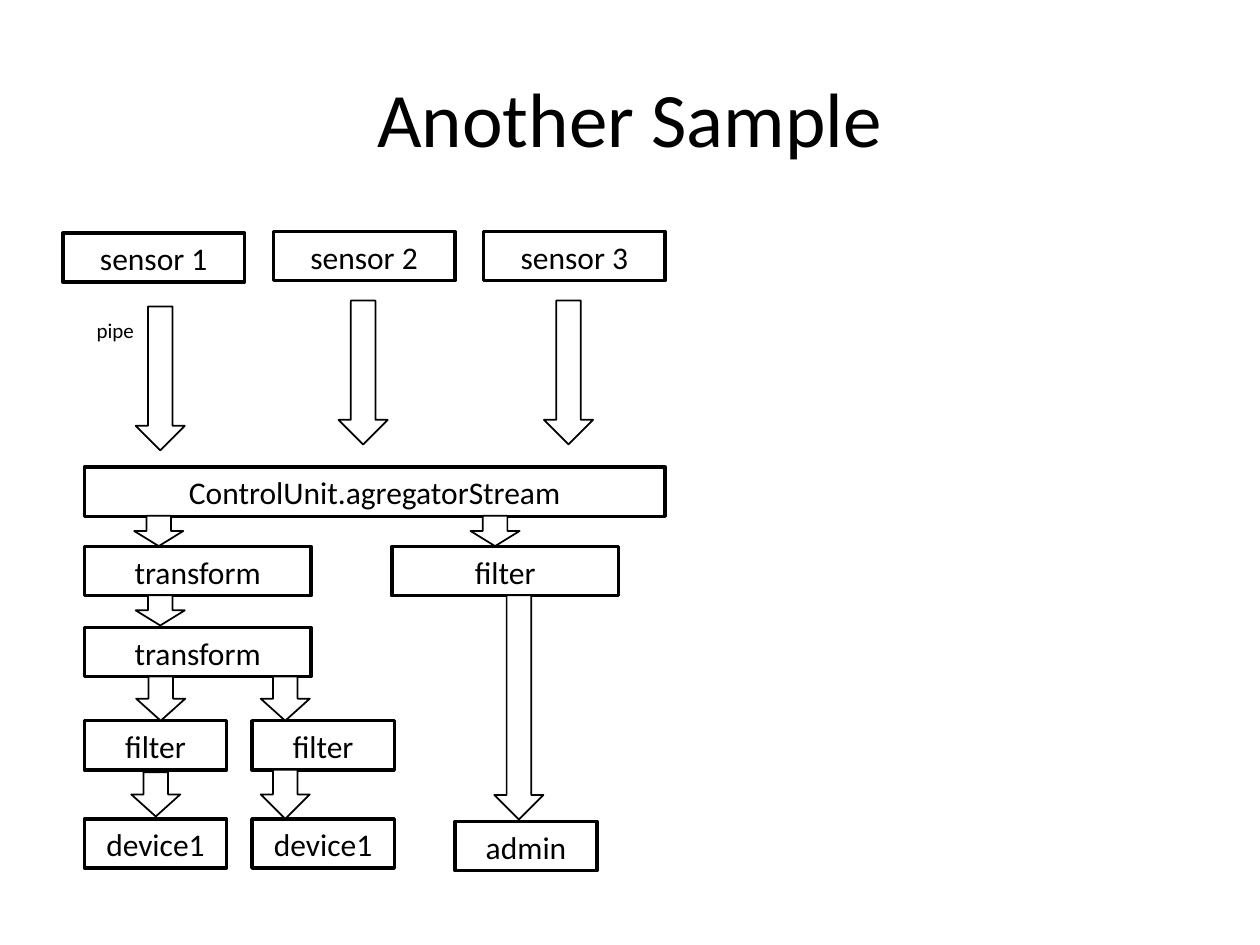
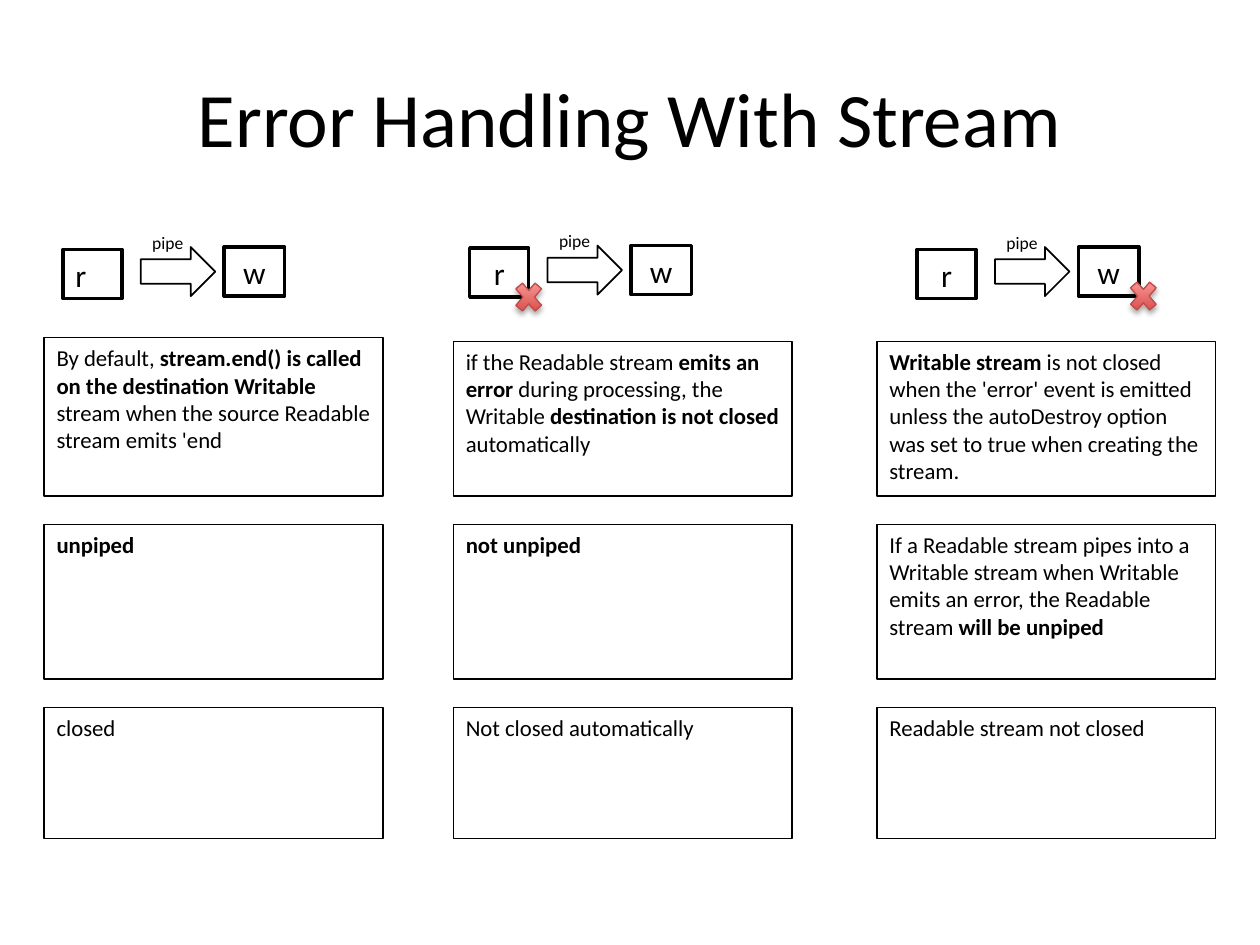
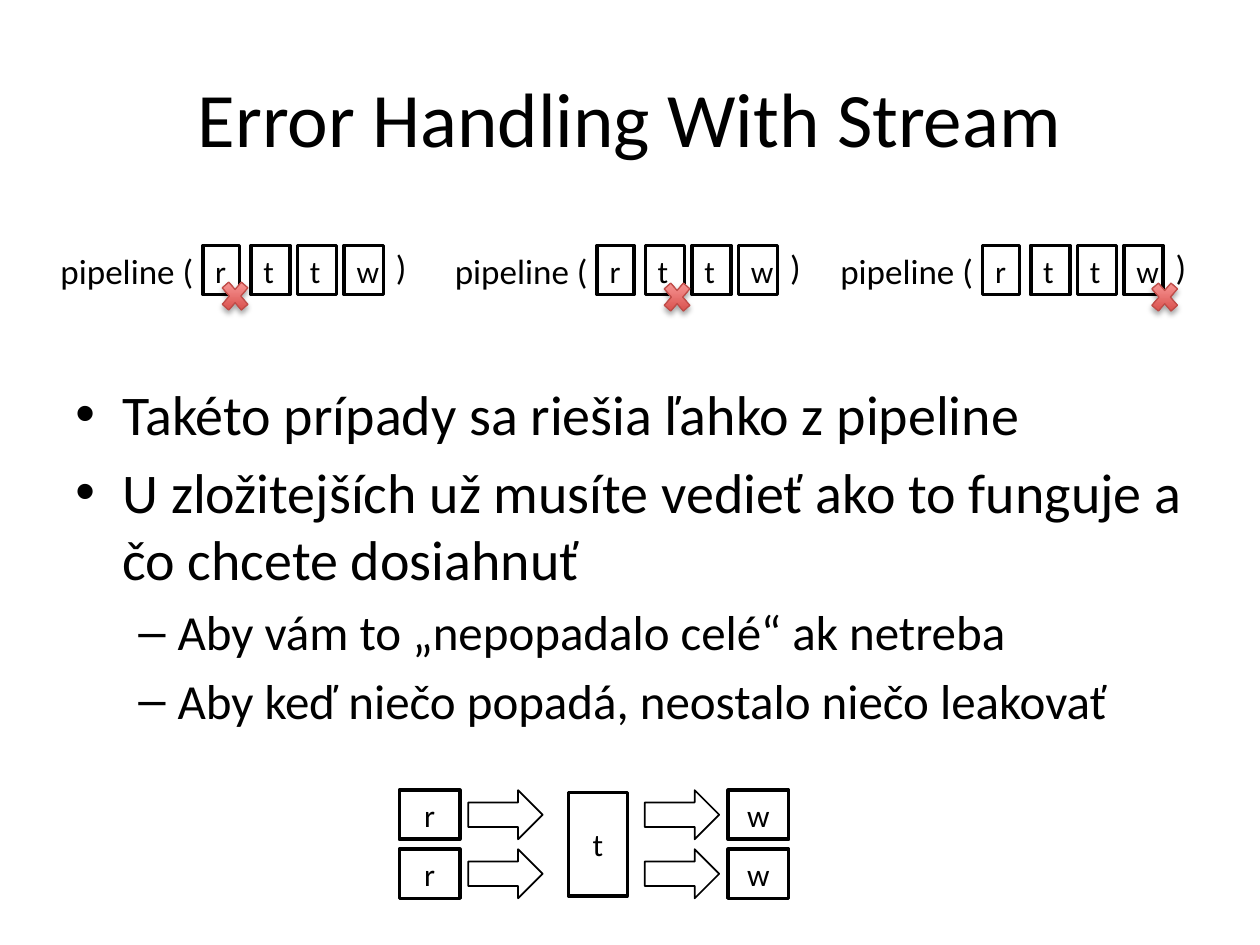
"""Build three slides on stream pipelines and their error handling."""
from dataclasses import dataclass
from typing import NamedTuple, Optional, Union

from lxml.etree import SubElement
from pptx import Presentation
from pptx.dml.color import RGBColor
from pptx.enum.shapes import MSO_SHAPE as Preset
from pptx.enum.text import MSO_ANCHOR as Anchor, MSO_AUTO_SIZE as AutoSize, PP_ALIGN as Align
from pptx.oxml.ns import qn
from pptx.shapes.autoshape import Shape
from pptx.shapes.shapetree import GroupShapes, SlideShapes
from pptx.slide import Slide
from pptx.text.text import _Paragraph as Paragraph
from pptx.util import Cm, Pt

Shapes = Union[SlideShapes, GroupShapes]


@dataclass(frozen=True)
class Theme:
    font: str = "Calibri"
    ink: RGBColor = RGBColor(0, 0, 0)
    paper: RGBColor = RGBColor(255, 255, 255)
    cross_dark: RGBColor = RGBColor(0xD1, 0x40, 0x3C)
    cross_light: RGBColor = RGBColor(0xFF, 0xA6, 0xA5)
    cross_line: RGBColor = RGBColor(0xBF, 0x4C, 0x48)
    title: float = 44
    bullet: float = 32
    sub_bullet: float = 28
    pipeline: float = 20
    box: float = 18
    note: float = 13
    label: float = 12
    small_label: float = 10
    thick: float = 2
    medium: float = 1
    thin: float = 0.75


THEME = Theme()
BOX_HEIGHT = 0.99
ARROW_LENGTH = 1.5


class Box(NamedTuple):
    text: str
    left: float
    top: float
    width: float
    height: float = BOX_HEIGHT


class DownArrow(NamedTuple):
    centre: float
    top: float
    length: float


class Span(NamedTuple):
    text: str
    bold: bool = False


class Bullet(NamedTuple):
    text: str
    level: int = 0


class BulletStyle(NamedTuple):
    mark: str
    margin: float
    hanging: float
    size: float


class Point(NamedTuple):
    left: float
    top: float


@dataclass(frozen=True)
class Case:
    left: float
    first_top: float
    pipe: Point
    cross: Optional[Point]
    notes: tuple[tuple[Span, ...], ...]
    reader_align: Align = Align.CENTER


@dataclass(frozen=True)
class Pipeline:
    left: float
    cross: Point


BULLET_STYLES = (BulletStyle("•", 0.95, 0.95, THEME.bullet),
                 BulletStyle("–", 2.06, 0.79, THEME.sub_bullet))

NARROW, WIDE = 2.87, 4.57
SAMPLE_BOXES = (
    Box("sensor 1", 1.27, 4.7, 3.66),
    Box("sensor 2", 5.51, 4.67, 3.66),
    Box("sensor 3", 9.75, 4.67, 3.66),
    Box("ControlUnit.agregatorStream", 1.7, 9.42, 11.71),
    Box("transform", 1.7, 11.02, WIDE),
    Box("filter", 7.9, 11.02, WIDE),
    Box("transform", 1.7, 12.65, WIDE),
    Box("filter", 1.7, 14.53, NARROW),
    Box("filter", 5.08, 14.53, NARROW),
    Box("device1", 1.7, 16.51, NARROW),
    Box("device1", 5.08, 16.51, NARROW),
    Box("admin", 9.17, 16.56, NARROW),
)
SAMPLE_ARROWS = (
    DownArrow(3.23, 6.18, 2.9),
    DownArrow(7.32, 6.06, 2.9),
    DownArrow(11.46, 6.06, 2.9),
    DownArrow(3.2, 10.4, 0.61),
    DownArrow(9.98, 10.4, 0.61),
    DownArrow(3.23, 12, 0.61),
    DownArrow(3.24, 13.64, 0.89),
    DownArrow(5.75, 13.64, 0.89),
    DownArrow(3.14, 15.57, 0.89),
    DownArrow(5.75, 15.52, 0.99),
    DownArrow(10.46, 12, 4.52),
)

NOTE_WIDTH = 6.83
FIRST_NOTE_BOTTOM = 10
LOWER_NOTE_ROWS = ((10.57, 3.12), (14.27, 2.64))
CASES = (
    Case(0.89, 6.81, Point(1.27, 5.03), None, (
        (Span("By default, "),
         Span("stream.end() is called on the destination Writable", True),
         Span(" stream when the source Readable stream emits 'end")),
        (Span("unpiped", True),),
        (Span("closed"),),
    ), Align.LEFT),
    Case(9.14, 6.88, Point(9.47, 5), Point(10.29, 5.56), (
        (Span("if the Readable stream "), Span("emits an error", True),
         Span(" during processing, the Writable "),
         Span("destination is not closed ", True), Span("automatically")),
        (Span("not unpiped", True),),
        (Span("Not closed automatically"),),
    )),
    Case(17.68, 6.88, Point(18.49, 5.03), Point(22.68, 5.54), (
        (Span("Writable stream ", True),
         Span("is not closed when the 'error' event is emitted unless the "
              "autoDestroy option was set to true when creating the stream.")),
        (Span("If a Readable stream pipes into a Writable stream when Writable "
              "emits an error, the Readable stream "),
         Span("will be unpiped", True)),
        (Span("Readable stream not closed"),),
    )),
)

PIPELINES = (Pipeline(0.97, Point(4.37, 5.54)),
             Pipeline(8.92, Point(13.28, 5.56)),
             Pipeline(16.69, Point(23.11, 5.56)))
BULLETS = (
    Bullet("Takéto prípady sa riešia ľahko z pipeline"),
    Bullet("U zložitejších už musíte vedieť ako to funguje a čo chcete dosiahnuť"),
    Bullet("Aby vám to „nepopadalo celé“ ak netreba", 1),
    Bullet("Aby keď niečo popadá, neostalo niečo leakovať", 1),
)


def style_paragraph(paragraph: Paragraph, size: float, align: Align = Align.LEFT) -> None:
    """Apply the shared font and an alignment to a paragraph."""
    paragraph.alignment = align
    paragraph.font.name = THEME.font
    paragraph.font.size = Pt(size)
    paragraph.font.color.rgb = THEME.ink


def add_titled_slide(presentation: Presentation, title: str) -> Slide:
    """Add a title-only slide with the shared title style."""
    slide = presentation.slides.add_slide(presentation.slide_layouts[5])
    placeholder = slide.shapes.title
    placeholder.left, placeholder.top = Cm(1.27), Cm(0.76)
    placeholder.width, placeholder.height = Cm(22.86), Cm(3.18)
    placeholder.text_frame.text = title
    placeholder.text_frame.vertical_anchor = Anchor.MIDDLE
    style_paragraph(placeholder.text_frame.paragraphs[0], THEME.title, Align.CENTER)
    return slide


def add_outlined(shapes: Shapes, preset: Preset, left: float, top: float,
                 width: float, height: float, line: float) -> Shape:
    """Add a flat white preset shape with a black outline."""
    shape = shapes.add_shape(preset, Cm(left), Cm(top), Cm(width), Cm(height))
    shape.shadow.inherit = False
    shape.fill.solid()
    shape.fill.fore_color.rgb = THEME.paper
    shape.line.color.rgb = THEME.ink
    shape.line.width = Pt(line)
    return shape


def add_box(shapes: Shapes, box: Box, align: Align = Align.CENTER,
            anchor: Anchor = Anchor.TOP) -> None:
    """Add a thick-edged box with one line of text."""
    shape = add_outlined(shapes, Preset.RECTANGLE, box.left, box.top,
                         box.width, box.height, THEME.thick)
    shape.text_frame.text = box.text
    shape.text_frame.vertical_anchor = anchor
    style_paragraph(shape.text_frame.paragraphs[0], THEME.box, align)


def add_arrow(shapes: Shapes, left: float, top: float, length: float = ARROW_LENGTH) -> Shape:
    """Add a block arrow pointing right."""
    return add_outlined(shapes, Preset.RIGHT_ARROW, left, top, length, BOX_HEIGHT, THEME.medium)


def add_down_arrow(shapes: Shapes, arrow: DownArrow) -> None:
    """Add a block arrow turned to point down."""
    left = arrow.centre - arrow.length / 2
    top = arrow.top + (arrow.length - BOX_HEIGHT) / 2
    add_arrow(shapes, left, top, arrow.length).rotation = 90


def add_label(shapes: Shapes, box: Box, size: float) -> None:
    """Add an unwrapped text label."""
    label = shapes.add_textbox(Cm(box.left), Cm(box.top), Cm(box.width), Cm(box.height))
    label.text_frame.text = box.text
    label.text_frame.word_wrap = False
    label.text_frame.auto_size = AutoSize.SHAPE_TO_FIT_TEXT
    style_paragraph(label.text_frame.paragraphs[0], size)


def add_cross(shapes: Shapes, point: Point) -> None:
    """Add the red cross that marks a failing stream."""
    cross = add_outlined(shapes, Preset.MATH_MULTIPLY, point.left, point.top,
                         0.74, 0.86, THEME.thin)
    cross.line.color.rgb = THEME.cross_line
    cross.fill.gradient()
    cross.fill.gradient_angle = 90
    for stop, color in zip(cross.fill.gradient_stops, (THEME.cross_dark, THEME.cross_light)):
        stop.color.rgb = color
    effects = cross.element.spPr.find(qn("a:effectLst"))
    shadow = SubElement(effects, qn("a:outerShdw"), blurRad=str(Pt(3.1)),
                        dist=str(Pt(1.8)), dir="5400000", rotWithShape="0")
    color = SubElement(shadow, qn("a:srgbClr"), val=str(THEME.ink))
    SubElement(color, qn("a:alpha"), val="35000")


def add_note(shapes: Shapes, spans: tuple[Span, ...], left: float, top: float,
             height: float) -> None:
    """Add a thin-edged note whose spans may be bold."""
    note = add_outlined(shapes, Preset.RECTANGLE, left, top, NOTE_WIDTH, height, THEME.thin)
    note.fill.background()
    note.text_frame.vertical_anchor = Anchor.TOP
    paragraph = note.text_frame.paragraphs[0]
    style_paragraph(paragraph, THEME.note)
    for span in spans:
        run = paragraph.add_run()
        run.text = span.text
        run.font.bold = span.bold


def add_case(slide: Slide, case: Case) -> None:
    """Add one column: a reader piped to a writer, with notes below."""
    group = slide.shapes.add_group_shape().shapes
    left, top = case.pipe
    add_box(group, Box("r", left, top, 1.19), case.reader_align)
    add_box(group, Box("w", left + 3.25, top - 0.05, 1.22))
    add_arrow(group, left + 1.57, top - 0.05)
    add_label(group, Box("pipe", left + 1.55, top - 0.48, 1.14, 0.69), THEME.small_label)
    if case.cross:
        add_cross(group, case.cross)
    rows = ((case.first_top, FIRST_NOTE_BOTTOM - case.first_top), *LOWER_NOTE_ROWS)
    for spans, (row_top, height) in zip(case.notes, rows):
        add_note(slide.shapes, spans, case.left, row_top, height)


def add_pipeline(slide: Slide, pipeline: Pipeline) -> None:
    """Add a pipeline call with its four streams and a failure cross."""
    group = slide.shapes.add_group_shape().shapes
    left = pipeline.left
    add_label(group, Box("pipeline (", left, 4.9, 3.23, 1.12), THEME.pipeline)
    add_box(group, Box("r", left + 3.12, 4.95, 0.74), Align.LEFT)
    for index, name in enumerate("ttw"):
        add_box(group, Box(name, left + 4.09 + 0.94 * index, 4.95, 0.79), Align.LEFT)
    add_label(group, Box(")", left + 6.76, 4.83, 0.74, 1.12), THEME.pipeline)
    add_cross(slide.shapes, pipeline.cross)


def add_bullets(slide: Slide, bullets: tuple[Bullet, ...]) -> None:
    """Add the two-level bullet list."""
    frame = slide.shapes.add_textbox(Cm(1.27), Cm(7.52), Cm(22.86), Cm(9.5)).text_frame
    frame.word_wrap = True
    for index, bullet in enumerate(bullets):
        paragraph = frame.add_paragraph() if index else frame.paragraphs[0]
        style = BULLET_STYLES[bullet.level]
        paragraph.text = bullet.text
        paragraph.level = bullet.level
        if index:
            paragraph.space_before = Pt(style.size * 0.2)
        properties = paragraph._p.get_or_add_pPr()
        properties.set("marL", str(Cm(style.margin)))
        properties.set("indent", str(-Cm(style.hanging)))
        SubElement(properties, qn("a:buFont"), typeface="Arial")
        SubElement(properties, qn("a:buChar"), char=style.mark)
        style_paragraph(paragraph, style.size)


def build_sample(presentation: Presentation) -> None:
    """Build the sensor flow slide."""
    shapes = add_titled_slide(presentation, "Another Sample").shapes
    for box in SAMPLE_BOXES:
        add_box(shapes, box)
    for arrow in SAMPLE_ARROWS:
        add_down_arrow(shapes, arrow)
    add_label(shapes, Box("pipe", 1.7, 6.27, 1.27, 0.76), THEME.label)


def build_cases(presentation: Presentation) -> None:
    """Build the slide comparing three pipe outcomes."""
    slide = add_titled_slide(presentation, "Error Handling With Stream")
    for case in CASES:
        add_case(slide, case)


def build_pipelines(presentation: Presentation) -> None:
    """Build the slide on pipelines and a shared transform."""
    slide = add_titled_slide(presentation, "Error Handling With Stream")
    add_bullets(slide, BULLETS)
    for pipeline in PIPELINES:
        add_pipeline(slide, pipeline)
    add_box(slide.shapes, Box("t", 11.46, 15.98, 1.19, 2.08), anchor=Anchor.MIDDLE)
    for top in (15.93, 17.12):
        add_box(slide.shapes, Box("r", 8.05, top, 1.22))
        add_arrow(slide.shapes, 9.44, top)
        add_arrow(slide.shapes, 13, top)
        add_box(slide.shapes, Box("w", 14.68, top, 1.22))


def main() -> None:
    """Build and save the presentation."""
    presentation = Presentation()
    presentation.slide_width, presentation.slide_height = Cm(25.4), Cm(19.05)
    build_sample(presentation)
    build_cases(presentation)
    build_pipelines(presentation)
    presentation.save("out.pptx")


if __name__ == "__main__":
    main()
